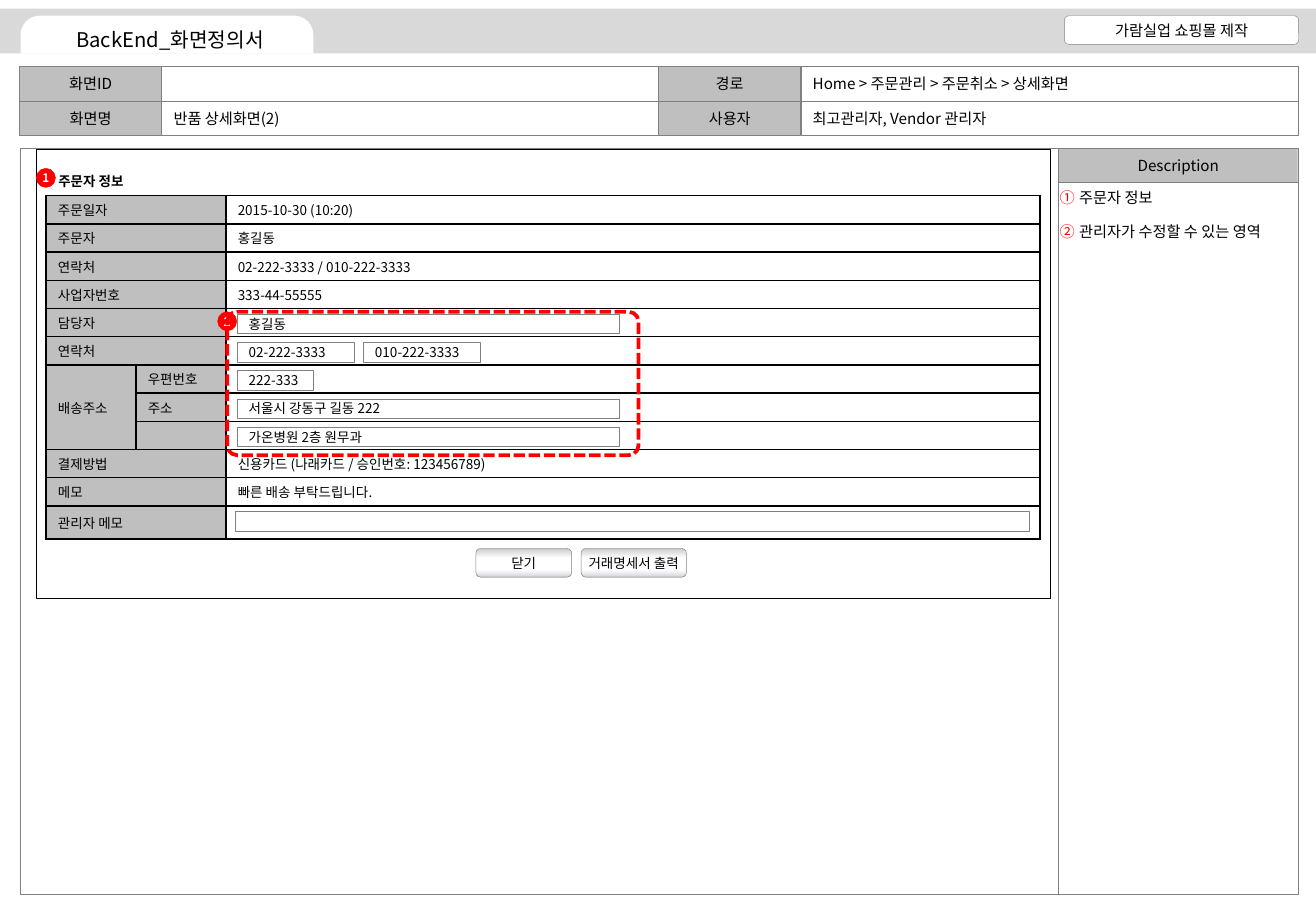
from dataclasses import dataclass
from typing import Any, Optional

from lxml import etree
from pptx import Presentation
from pptx.dml.color import RGBColor
from pptx.enum.dml import MSO_LINE
from pptx.enum.shapes import MSO_SHAPE
from pptx.enum.text import MSO_ANCHOR, MSO_AUTO_SIZE, PP_ALIGN
from pptx.oxml.ns import qn
from pptx.util import Cm, Pt

RECT, ROUND = MSO_SHAPE.RECTANGLE, MSO_SHAPE.ROUNDED_RECTANGLE
TAB, OVAL = MSO_SHAPE.ROUND_2_SAME_RECTANGLE, MSO_SHAPE.OVAL
LEFT, CENTER = PP_ALIGN.LEFT, PP_ALIGN.CENTER
TOP, MIDDLE = MSO_ANCHOR.TOP, MSO_ANCHOR.MIDDLE

FONT = "Noto Sans CJK KR"
COLORS = {"black": "000000", "white": "FFFFFF", "label": "BFBFBF", "band": "D9D9D9",
          "border": "808080", "red": "FF0000"}
BUTTON_STOPS = [(0, "BFBFBF"), (8, "D9D9D9"), (34, "FFFFFF"),
                (74, "FFFFFF"), (93, "DDE1E7"), (100, "CCCCCC")]


@dataclass
class Box:
    left: float
    top: float
    width: float
    height: float
    text: str = ""
    fill: Optional[str] = None
    line: Optional[str] = "border"
    weight: float = 0.25
    kind: MSO_SHAPE = RECT
    size: float = 9
    align: PP_ALIGN = CENTER
    bold: bool = False
    color: str = "black"
    inset: float = 0.25
    adjust: tuple[float, ...] = ()
    gradient: bool = False
    dashed: bool = False


def rgb(name: str) -> RGBColor:
    return RGBColor.from_string(COLORS[name])


def apply_format(target: Any, values: dict[str, Any]) -> None:
    for name, value in values.items():
        setattr(target, name, value)


def frame_format(inset: float, anchor: MSO_ANCHOR) -> dict[str, Any]:
    return {"margin_left": Cm(inset), "margin_right": Cm(inset), "margin_top": 0,
            "margin_bottom": 0, "vertical_anchor": anchor}


def write(para: Any, text: str, size: float, align: PP_ALIGN = LEFT,
          bold: bool = False, color: str = "black") -> None:
    para.alignment = align
    span = para.add_run()
    span.text = text
    apply_format(span.font, {"name": FONT, "size": Pt(size), "bold": bold})
    span.font.color.rgb = rgb(color)
    etree.SubElement(span._r.get_or_add_rPr(), qn("a:ea"), typeface=FONT)


def fill_button(shape: Any) -> None:
    shape.fill.gradient()
    shape.fill.gradient_angle = 270
    stops = shape._element.spPr.find(qn("a:gradFill")).find(qn("a:gsLst"))
    stops.clear()
    for position, color in BUTTON_STOPS:
        stop = etree.SubElement(stops, qn("a:gs"), pos=str(position * 1000))
        etree.SubElement(stop, qn("a:srgbClr"), val=color)


def draw_box(page: Any, box: Box) -> None:
    shape = page.shapes.add_shape(box.kind, Cm(box.left), Cm(box.top),
                                  Cm(box.width), Cm(box.height))
    shape.shadow.inherit = False
    for index, value in enumerate(box.adjust):
        shape.adjustments[index] = value
    if box.gradient:
        fill_button(shape)
    elif box.fill:
        shape.fill.solid()
        shape.fill.fore_color.rgb = rgb(box.fill)
    else:
        shape.fill.background()
    if box.line:
        shape.line.color.rgb = rgb(box.line)
        shape.line.width = Pt(box.weight)
    else:
        shape.line.fill.background()
    if box.dashed:
        shape.line.dash_style = MSO_LINE.SQUARE_DOT
    if box.text:
        apply_format(shape.text_frame, frame_format(box.inset, MIDDLE))
        write(shape.text_frame.paragraphs[0], box.text, box.size, box.align, box.bold, box.color)


def format_cell(cell: Any, text: str, fill: str) -> None:
    apply_format(cell, frame_format(0.25, MIDDLE))
    properties = cell._tc.get_or_add_tcPr()
    for side in ("lnL", "lnR", "lnT", "lnB"):
        border = etree.SubElement(properties, qn(f"a:{side}"), w=str(Pt(1)))
        color = etree.SubElement(border, qn("a:solidFill"))
        etree.SubElement(color, qn("a:srgbClr"), val=COLORS["black"])
    cell.fill.solid()
    cell.fill.fore_color.rgb = rgb(fill)
    para = cell.text_frame.paragraphs[0]
    if text:
        write(para, text, 8)
    else:
        etree.SubElement(para._p, qn("a:endParaRPr"), sz="800")


def place(shape: Any, left: float, top: float, width: float, height: float) -> None:
    apply_format(shape, {"left": Cm(left), "top": Cm(top),
                         "width": Cm(width), "height": Cm(height)})
    apply_format(shape.text_frame, {**frame_format(0, TOP), "word_wrap": True,
                                    "auto_size": MSO_AUTO_SIZE.NONE})


deck = Presentation()
apply_format(deck, {"slide_width": Cm(27.51), "slide_height": Cm(19.05)})
page = deck.slides.add_slide(deck.slide_layouts[1])
title, description = page.placeholders

# Header fields: label and value pairs, two per row
FIELDS = [[("화면ID", ""), ("경로", "Home > 주문관리 > 주문취소 > 상세화면")],
          [("화면명", "반품 상세화면(2)"), ("사용자", "최고관리자, Vendor 관리자")]]
LABEL_WIDTH, VALUE_WIDTH, FIELD_HEIGHT = 2.97, 10.39, 0.72
for row, pairs in enumerate(FIELDS):
    for column, (label, value) in enumerate(pairs):
        left = 0.41 + column * (LABEL_WIDTH + VALUE_WIDTH)
        top = 1.39 + row * FIELD_HEIGHT
        draw_box(page, Box(left, top, LABEL_WIDTH, FIELD_HEIGHT, label, "label"))
        draw_box(page, Box(left + LABEL_WIDTH, top, VALUE_WIDTH, FIELD_HEIGHT, value, align=LEFT))

# Frames, top band and screen panel
for box in (
    Box(0.43, 3.1, 21.7, 15.6),
    Box(22.13, 3.1, 5, 0.72, "Description", "label"),
    Box(22.13, 3.82, 5, 14.88),
    Box(0, 0.18, 27.51, 0.94, fill="band", line=None),
    Box(0.43, 0.33, 6.12, 0.79, fill="white", line=None, kind=TAB, adjust=(0.5, 0)),
    Box(22.25, 0.33, 4.9, 0.6, "가람실업 쇼핑몰 제작", "white", kind=ROUND),
    Box(0.76, 3.12, 21.2, 9.4, fill="white", line="black"),
):
    draw_box(page, box)

# Title
place(title, 0.76, 0.53, 5.59, 0.6)
title.text_frame.vertical_anchor = MIDDLE
write(title.text_frame.paragraphs[0], "BackEnd_화면정의서", 12, CENTER)

# Description list with circled red numbers
place(description, 22.15, 3.94, 5, 14.7)
for index, text in enumerate(["주문자 정보", "관리자가 수정할 수 있는 영역"]):
    frame = description.text_frame
    para = frame.add_paragraph() if index else frame.paragraphs[0]
    write(para, text, 9)
    apply_format(para, {"space_before": Pt(0), "space_after": Pt(9)})
    properties = para._p.get_or_add_pPr()
    properties.set("marL", str(Cm(0.41)))
    properties.set("indent", str(-Cm(0.41)))
    bullet_color = etree.SubElement(properties, qn("a:buClr"))
    etree.SubElement(bullet_color, qn("a:srgbClr"), val=COLORS["red"])
    etree.SubElement(properties, qn("a:buAutoNum"), type="circleNumDbPlain")
for placeholder in (title, description):
    placeholder.element.getparent().append(placeholder.element)

# Order table
ORDER = [("주문일자", "", "2015-10-30 (10:20)"), ("주문자", "", "홍길동"),
         ("연락처", "", "02-222-3333 / 010-222-3333"), ("사업자번호", "", "333-44-55555"),
         ("담당자", "", ""), ("연락처", "", ""), ("배송주소", "우편번호", ""),
         ("", "주소", ""), ("", "", ""),
         ("결제방법", "", "신용카드 (나래카드 / 승인번호: 123456789)"),
         ("메모", "", "빠른 배송 부탁드립니다."), ("관리자 메모", "", "")]
TABLE_TOP, ROW_HEIGHT = 4.09, 0.59
ADDRESS_ROWS = range(6, 9)
table = page.shapes.add_table(len(ORDER), 3, Cm(0.96), Cm(TABLE_TOP), Cm(20.78), Cm(7.18)).table
apply_format(table, {"first_row": False, "horz_banding": False})
for column, width in zip(table.columns, (1.88, 1.88, 17.02)):
    column.width = Cm(width)
for row, texts in enumerate(ORDER):
    table.rows[row].height = Cm(0.69 if row == len(ORDER) - 1 else ROW_HEIGHT)
    for column, text in enumerate(texts):
        format_cell(table.cell(row, column), text, "white" if column == 2 else "label")
    if row not in ADDRESS_ROWS:
        table.cell(row, 0).merge(table.cell(row, 1))
table.cell(ADDRESS_ROWS[0], 0).merge(table.cell(ADDRESS_ROWS[-1], 0))

# Section heading
heading = page.shapes.add_textbox(0, 0, 0, 0)
place(heading, 1.22, 3.5, 3, 0.58)
heading.text_frame.vertical_anchor = MIDDLE
write(heading.text_frame.paragraphs[0], "주문자 정보", 8, bold=True)

# Input fields: table row, left, width, text
INPUTS = [(4, 4.95, 8, "홍길동"), (5, 4.95, 2.46, "02-222-3333"),
          (5, 7.59, 2.46, "010-222-3333"), (6, 4.95, 1.6, "222-333"),
          (7, 4.95, 8, "서울시 강동구 길동 222"), (8, 4.95, 8, "가온병원 2층 원무과"),
          (11, 4.92, 16.6, "")]
for row, left, width, text in INPUTS:
    draw_box(page, Box(left, TABLE_TOP + row * ROW_HEIGHT + 0.12, width, 0.41, text,
                       size=8, align=LEFT))

# Buttons
for left, width, text in ((9.95, 2, "닫기"), (12.15, 2.2, "거래명세서 출력")):
    draw_box(page, Box(left, 11.47, width, 0.6, text, kind=ROUND, size=8, inset=0, gradient=True))

# Numbered markers and editable area
for left, top, number in ((0.76, 3.52, "1"), (4.55, 6.52, "2")):
    draw_box(page, Box(left, top, 0.4, 0.4, number, "red", "red", kind=OVAL, size=7,
                       bold=True, color="white", inset=0))
draw_box(page, Box(4.75, 6.52, 8.6, 3, line="red", weight=2.25, kind=ROUND,
                   adjust=(0.07,), dashed=True))

deck.save("out.pptx")
